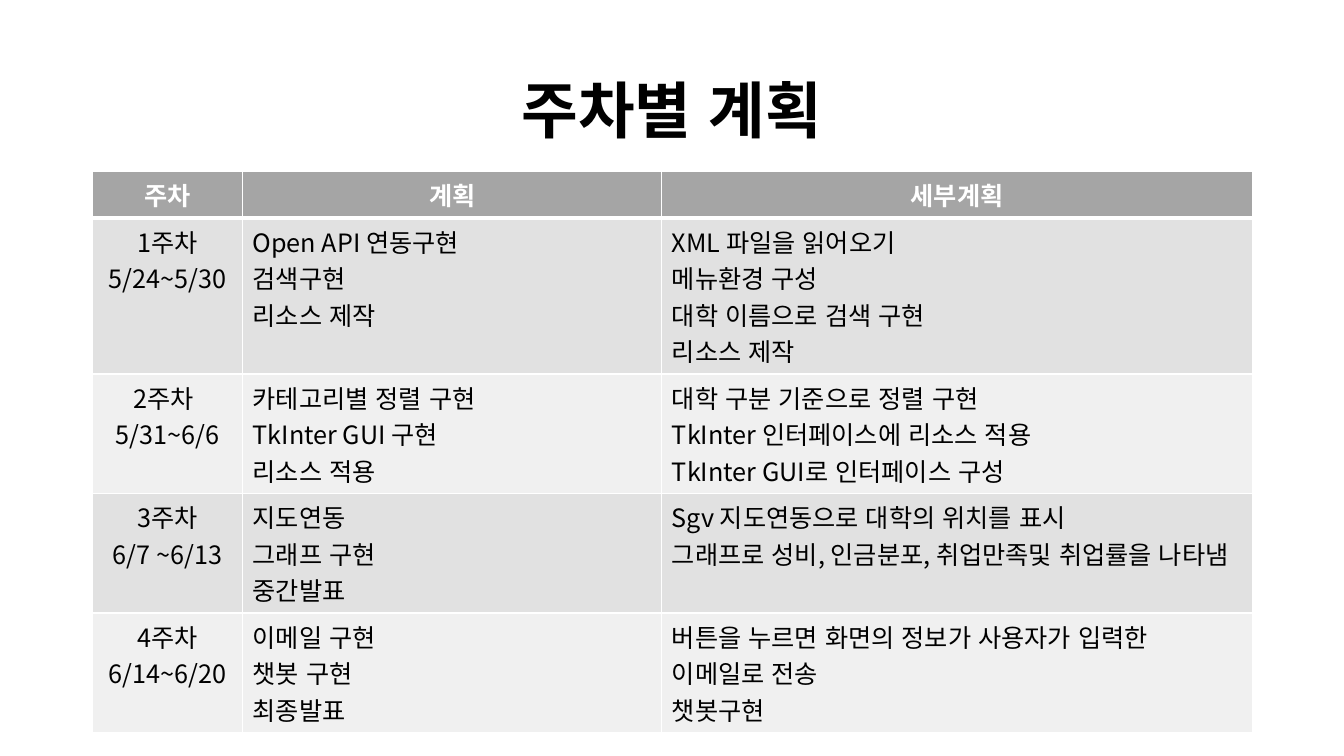
from dataclasses import dataclass

from lxml import etree
from pptx import Presentation
from pptx.dml.color import RGBColor
from pptx.enum.lang import MSO_LANGUAGE_ID
from pptx.enum.text import MSO_ANCHOR, PP_ALIGN
from pptx.oxml.ns import qn
from pptx.util import Pt

LEFT, CENTER = PP_ALIGN.LEFT, PP_ALIGN.CENTER
MIDDLE = MSO_ANCHOR.MIDDLE
KOREAN = MSO_LANGUAGE_ID.KOREAN

FONT = "Noto Sans CJK KR"
BLACK, WHITE = "000000", "FFFFFF"
HEADER_FILL = "A5A5A5"
BAND_FILLS = ("E1E1E1", "F0F0F0")
COLUMN_WIDTHS = (107.3, 299.5, 421.9)
HEADER_HEIGHT, WEEK_HEIGHT = 30, 83.5
TABLE_LEFT, TABLE_TOP = 66, 122.4


@dataclass(frozen=True)
class TextStyle:
    size: float
    color: str
    bold: bool = False


@dataclass(frozen=True)
class Week:
    period: tuple[str, ...]
    plan: tuple[str, ...]
    details: tuple[str, ...]


TITLE_STYLE = TextStyle(44, BLACK, True)
HEADER_STYLE = TextStyle(18, WHITE, True)
BODY_STYLE = TextStyle(18, BLACK)

HEADINGS = ("주차", "계획", "세부계획")
WEEKS = (
    Week(
        ("1주차", "5/24~5/30"),
        ("Open API 연동구현", "검색구현", "리소스 제작"),
        ("XML 파일을 읽어오기", "메뉴환경 구성", "대학 이름으로 검색 구현", "리소스 제작"),
    ),
    Week(
        ("2주차 ", "5/31~6/6"),
        ("카테고리별 정렬 구현", "TkInter GUI 구현", "리소스 적용"),
        (
            "대학 구분 기준으로 정렬 구현",
            "TkInter 인터페이스에 리소스 적용",
            "TkInter GUI로 인터페이스 구성",
        ),
    ),
    Week(
        ("3주차", "6/7 ~6/13"),
        ("지도연동", "그래프 구현", "중간발표"),
        (
            "Sgv 지도연동으로 대학의 위치를 표시",
            "그래프로 성비, 인금분포, 취업만족및 취업률을 나타냄",
        ),
    ),
    Week(
        ("4주차", "6/14~6/20"),
        ("이메일 구현", "챗봇 구현", "최종발표"),
        ("버튼을 누르면 화면의 정보가 사용자가 입력한 이메일로 전송", "챗봇구현"),
    ),
)


def rgb(color: str) -> RGBColor:
    return RGBColor.from_string(color)


def write(tf, lines: tuple[str, ...], style: TextStyle, align: PP_ALIGN) -> None:
    for i, line in enumerate(lines):
        p = tf.paragraphs[0] if i == 0 else tf.add_paragraph()
        p.alignment = align
        r = p.add_run()
        r.text = line
        r.font.size = Pt(style.size)
        r.font.bold = style.bold
        r.font.color.rgb = rgb(style.color)
        r.font.name = FONT
        r.font.language_id = KOREAN
        etree.SubElement(r.font._element, qn("a:ea"), typeface=FONT)


def set_borders(cell, bottom_width: float, top_width: float) -> None:
    tc_pr = cell._tc.get_or_add_tcPr()
    widths = {"lnL": 1, "lnR": 1, "lnT": top_width, "lnB": bottom_width}
    for side, width in widths.items():
        ln = etree.SubElement(tc_pr, qn(f"a:{side}"), w=str(Pt(width)))
        fill = etree.SubElement(ln, qn("a:solidFill"))
        etree.SubElement(fill, qn("a:srgbClr"), val=WHITE)


def add_title(s, text: str) -> None:
    sp = s.shapes.title
    sp.left, sp.top, sp.width, sp.height = Pt(66), Pt(28.75), Pt(828), Pt(104.4)
    tf = sp.text_frame
    tf.word_wrap = True
    tf.vertical_anchor = MIDDLE
    write(tf, (text,), TITLE_STYLE, CENTER)
    tf.paragraphs[0].line_spacing = 0.9


def add_schedule(s) -> None:
    rows = [tuple((heading,) for heading in HEADINGS)]
    rows += [(week.period, week.plan, week.details) for week in WEEKS]
    heights = [HEADER_HEIGHT] + [WEEK_HEIGHT] * len(WEEKS)
    table = s.shapes.add_table(
        len(rows), len(HEADINGS), Pt(TABLE_LEFT), Pt(TABLE_TOP),
        Pt(sum(COLUMN_WIDTHS)), Pt(sum(heights)),
    ).table
    for column, width in zip(table.columns, COLUMN_WIDTHS):
        column.width = Pt(width)
    for i, (row, height) in enumerate(zip(rows, heights)):
        table.rows[i].height = Pt(height)
        header = i == 0
        for j, lines in enumerate(row):
            cell = table.cell(i, j)
            set_borders(cell, 3 if header else 1, 3 if i == 1 else 1)
            cell.fill.solid()
            cell.fill.fore_color.rgb = rgb(HEADER_FILL if header else BAND_FILLS[(i - 1) % 2])
            write(
                cell.text_frame, lines,
                HEADER_STYLE if header else BODY_STYLE,
                CENTER if header or j == 0 else LEFT,
            )


def main() -> None:
    prs = Presentation()
    prs.slide_width, prs.slide_height = Pt(960), Pt(540)
    s = prs.slides.add_slide(prs.slide_layouts.get_by_name("Title Only"))
    add_title(s, "주차별 계획")
    add_schedule(s)
    prs.save("out.pptx")


if __name__ == "__main__":
    main()
